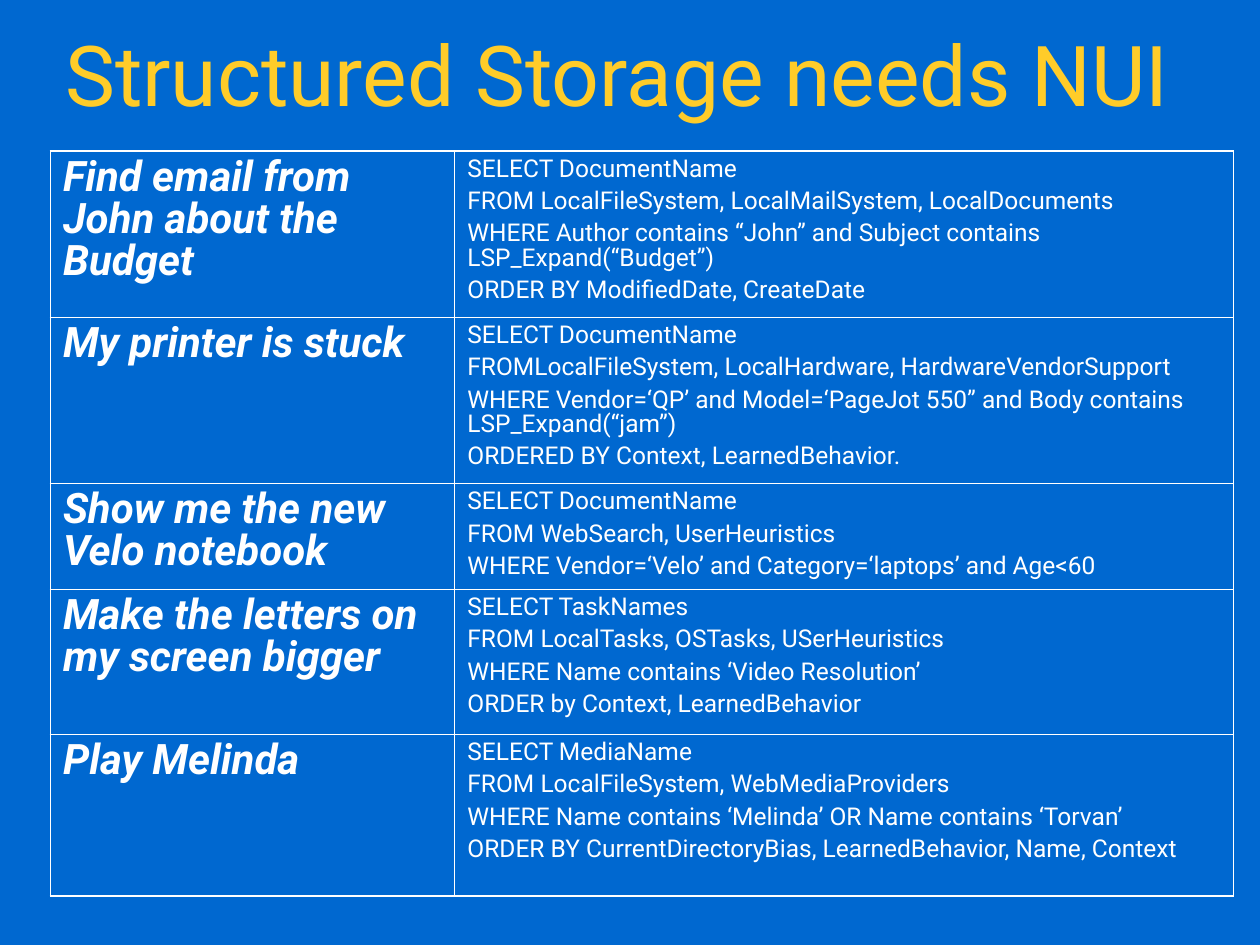
from lxml import etree
from pptx import Presentation
from pptx import util as u
from pptx.dml.color import RGBColor
from pptx.enum import text
from pptx.oxml.ns import qn

BLUE = RGBColor(0x00, 0x68, 0xD0)
GOLD = RGBColor(0xFF, 0xCC, 0x29)
WHITE = RGBColor(0xFF, 0xFF, 0xFF)
FONT = "Roboto"
OUTER_LINE, INNER_LINE = u.Pt(1.08), u.Pt(0.45)

COLUMN_WIDTHS = [3.21, 6.18]
# Each row: height, spoken request, lines of the query it stands for
REQUESTS = [
    (1.32, "Find email from John about the Budget", [
        "SELECT DocumentName",
        "FROM LocalFileSystem, LocalMailSystem, LocalDocuments",
        "WHERE Author contains “John” and Subject contains LSP_Expand(“Budget”)",
        "ORDER BY ModifiedDate, CreateDate"]),
    (1.32, "My printer is stuck", [
        "SELECT DocumentName",
        "FROMLocalFileSystem, LocalHardware, HardwareVendorSupport",
        "WHERE Vendor=‘QP’ and Model=‘PageJot 550” and Body contains LSP_Expand(“jam”)",
        "ORDERED BY Context, LearnedBehavior."]),
    (0.84, "Show me the new Velo notebook", [
        "SELECT DocumentName",
        "FROM WebSearch, UserHeuristics",
        "WHERE Vendor=‘Velo’ and Category=‘laptops’ and Age<60"]),
    (1.15, "Make the letters on my screen bigger", [
        "SELECT TaskNames",
        "FROM LocalTasks, OSTasks, USerHeuristics",
        "WHERE Name contains ‘Video Resolution’",
        "ORDER by Context, LearnedBehavior"]),
    (1.28, "Play Melinda", [
        "SELECT MediaName",
        "FROM LocalFileSystem, WebMediaProviders",
        "WHERE Name contains ‘Melinda’ OR Name contains ‘Torvan’",
        "ORDER BY CurrentDirectoryBias, LearnedBehavior, Name, Context"]),
]


def write_lines(frame, lines, size, color, space_before=0, emphasis=False):
    frame.word_wrap = True
    for index, line in enumerate(lines):
        para = frame.paragraphs[0] if index == 0 else frame.add_paragraph()
        para.text = line
        para.alignment = text.PP_ALIGN.LEFT
        para.line_spacing = 0.85
        para.space_before = u.Pt(space_before)
        para.font.name = FONT
        para.font.size = u.Pt(size)
        para.font.bold = para.font.italic = emphasis
        para.font.color.rgb = color


def set_borders(cell, widths):
    """Draw white cell borders; widths maps a side (L, R, T, B) to a line width."""
    properties = cell._tc.get_or_add_tcPr()
    for side in "LRTB":
        line = etree.SubElement(properties, qn(f"a:ln{side}"), w=str(int(widths[side])))
        fill = etree.SubElement(line, qn("a:solidFill"))
        etree.SubElement(fill, qn("a:srgbClr"), val=str(WHITE))


def add_title(page, left, top, width, height):
    box = page.shapes.add_textbox(left, top, width, height)
    box.text_frame.vertical_anchor = text.MSO_ANCHOR.TOP
    write_lines(box.text_frame, ["Structured Storage needs NUI"], 48, GOLD)


def add_request_table(page, left, top, width, height):
    frame = page.shapes.add_table(len(REQUESTS), len(COLUMN_WIDTHS), left, top, width, height)
    table = frame.table
    table.first_row = table.horz_banding = False
    for column, column_width in zip(table.columns, COLUMN_WIDTHS):
        column.width = u.Inches(column_width)

    last_row = len(REQUESTS) - 1
    for index, (row_height, request, query) in enumerate(REQUESTS):
        table.rows[index].height = u.Inches(row_height)
        request_cell, query_cell = table.rows[index].cells
        write_lines(request_cell.text_frame, [request], 24, WHITE, 7.5, emphasis=True)
        write_lines(query_cell.text_frame, query, 14, WHITE, 4.4)
        for cell in (request_cell, query_cell):
            set_borders(cell, {
                "L": OUTER_LINE if cell is request_cell else INNER_LINE,
                "R": OUTER_LINE if cell is query_cell else INNER_LINE,
                "T": OUTER_LINE if index == 0 else INNER_LINE,
                "B": OUTER_LINE if index == last_row else INNER_LINE,
            })
            cell.fill.background()


def main():
    deck = Presentation()
    deck.slide_width, deck.slide_height = u.Inches(10), u.Inches(7.5)
    page = deck.slides.add_slide(deck.slide_layouts[6])
    page.background.fill.solid()
    page.background.fill.fore_color.rgb = BLUE
    add_title(page, u.Inches(0.42), u.Inches(0.25), u.Inches(9.18), u.Inches(1.46))
    add_request_table(page, u.Inches(0.4), u.Inches(1.2), u.Inches(9.39), u.Inches(5.91))
    deck.save("out.pptx")


if __name__ == "__main__":
    main()
